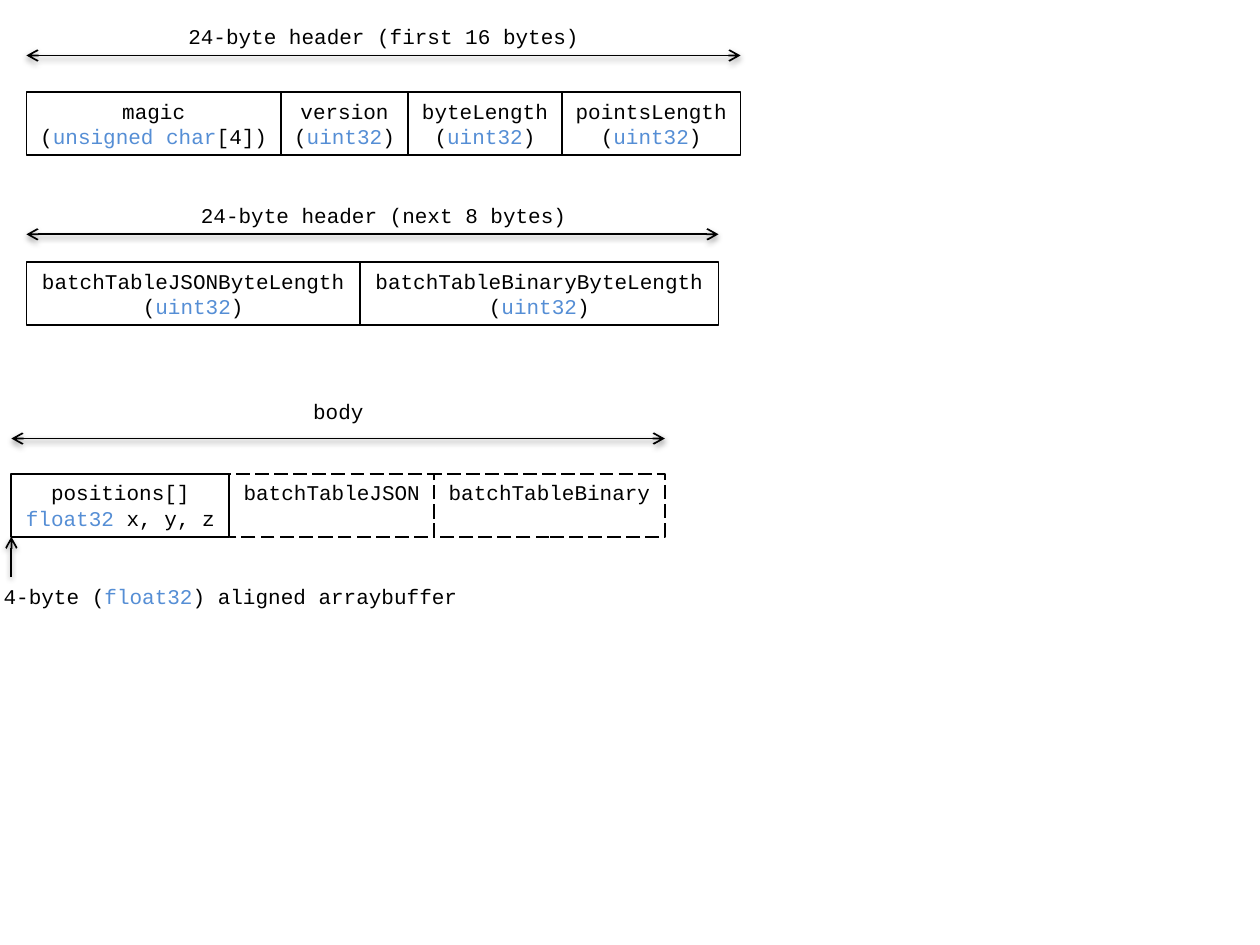
import pptx
import pptx.util
import pptx.dml.color
import pptx.enum.dml
import pptx.enum.shapes
import pptx.enum.text
from lxml import etree

Pt = pptx.util.Pt
Align = pptx.enum.text.PP_ALIGN
Kind = pptx.enum.shapes.MSO_SHAPE
Line = pptx.enum.shapes.MSO_CONNECTOR
Dash = pptx.enum.dml.MSO_LINE

HUES = {"ink": "000000", "type": "558ED5"}
FONT = "Courier New"
TALL = 36
CAP = 21.8

ROWS = [
    {"title": "24-byte header (first 16 bytes)", "left": 15.1, "mid": 219.2, "wide": 241.2,
     "tops": (10.1, 31.7, 52.6),
     "cells": [(145.4, ["magic", "(|unsigned char|[4])"]),
               (72.7, ["version", "(|uint32|)"]),
               (87.8, ["byteLength", "(|uint32|)"]),
               (102.2, ["pointsLength", "(|uint32|)"])]},
    {"title": "24-byte header (next 8 bytes)", "left": 15.1, "mid": 219.2, "wide": 226.8,
     "tops": (112.3, 133.9, 149.8),
     "cells": [(190.6, ["batchTableJSONByteLength", "(|uint32|)"]),
               (204.9, ["batchTableBinaryByteLength", "(|uint32|)"])]},
    {"title": "body", "left": 6.5, "mid": 193.3, "wide": 43.9,
     "tops": (223.9, 250.6, 270.7),
     "cells": [(124.6, ["positions[]", "|float32 |x, y, z"]),
               (117, ["batchTableJSON"]),
               (131.8, ["batchTableBinary"])]},
]
OPEN = ("batchTableJSON", "batchTableBinary")
NOTE = "4-byte (|float32|) aligned arraybuffer"

SHADE = """<a:effectLst xmlns:a="http://schemas.openxmlformats.org/drawingml/2006/main">
<a:outerShdw blurRad="39370" dist="20320" dir="5400000" rotWithShape="0">
<a:srgbClr val="000000"><a:alpha val="38000"/></a:srgbClr></a:outerShdw></a:effectLst>"""

deck = pptx.Presentation()
deck.slide_width, deck.slide_height = Pt(720), Pt(540)
slide = deck.slides.add_slide(deck.slide_layouts[6])


def hue(name):
    return pptx.dml.color.RGBColor.from_string(HUES[name])


def write(shape, lines, align=Align.CENTER, wrap=False, size=12):
    frame = shape.text_frame
    frame.word_wrap = wrap
    frame.vertical_anchor = pptx.enum.text.MSO_ANCHOR.TOP
    for num, line in enumerate(lines):
        para = frame.add_paragraph() if num else frame.paragraphs[0]
        para.alignment = align
        for spot, part in enumerate(line.split("|")):
            if part:
                run = para.add_run()
                run.text = part
                run.font.name = FONT
                run.font.size = Pt(size)
                run.font.color.rgb = hue("type" if spot % 2 else "ink")


def label(left, top, wide, text, **form):
    box = slide.shapes.add_textbox(Pt(left), Pt(top), Pt(wide), Pt(CAP))
    write(box, [text], **form)


def cell(left, top, wide, lines):
    box = slide.shapes.add_shape(Kind.RECTANGLE, Pt(left), Pt(top), Pt(wide), Pt(TALL))
    box.shadow.inherit = False
    box.fill.background()
    box.line.color.rgb = hue("ink")
    box.line.width = Pt(1)
    if lines[0] in OPEN:
        box.line.dash_style = Dash.LONG_DASH
    write(box, lines)


def arrow(start, stop, ends):
    link = slide.shapes.add_connector(Line.STRAIGHT, *map(Pt, start + stop))
    link.line.color.rgb = hue("ink")
    link.line.width = Pt(1)
    stroke = link.line._get_or_add_ln()
    for end in ends:
        tip = etree.SubElement(stroke, pptx.oxml.ns.qn("a:" + end))
        tip.set("type", "arrow")
    link._element.spPr.append(etree.fromstring(SHADE))


for row in ROWS:
    head, rule, top = row["tops"]
    left = row["left"]
    for wide, lines in row["cells"]:
        cell(left, top, wide, lines)
        left += wide
    arrow((row["left"], rule), (left, rule), ("headEnd", "tailEnd"))
    label(row["mid"] - row["wide"] / 2, head, row["wide"], row["title"])

foot = ROWS[-1]["tops"][2] + TALL
edge = ROWS[-1]["left"]
label(-5, foot + 23, 288, NOTE, align=Align.LEFT, wrap=True)
arrow((edge, foot + 23), (edge, foot), ("tailEnd",))

deck.save("out.pptx")
